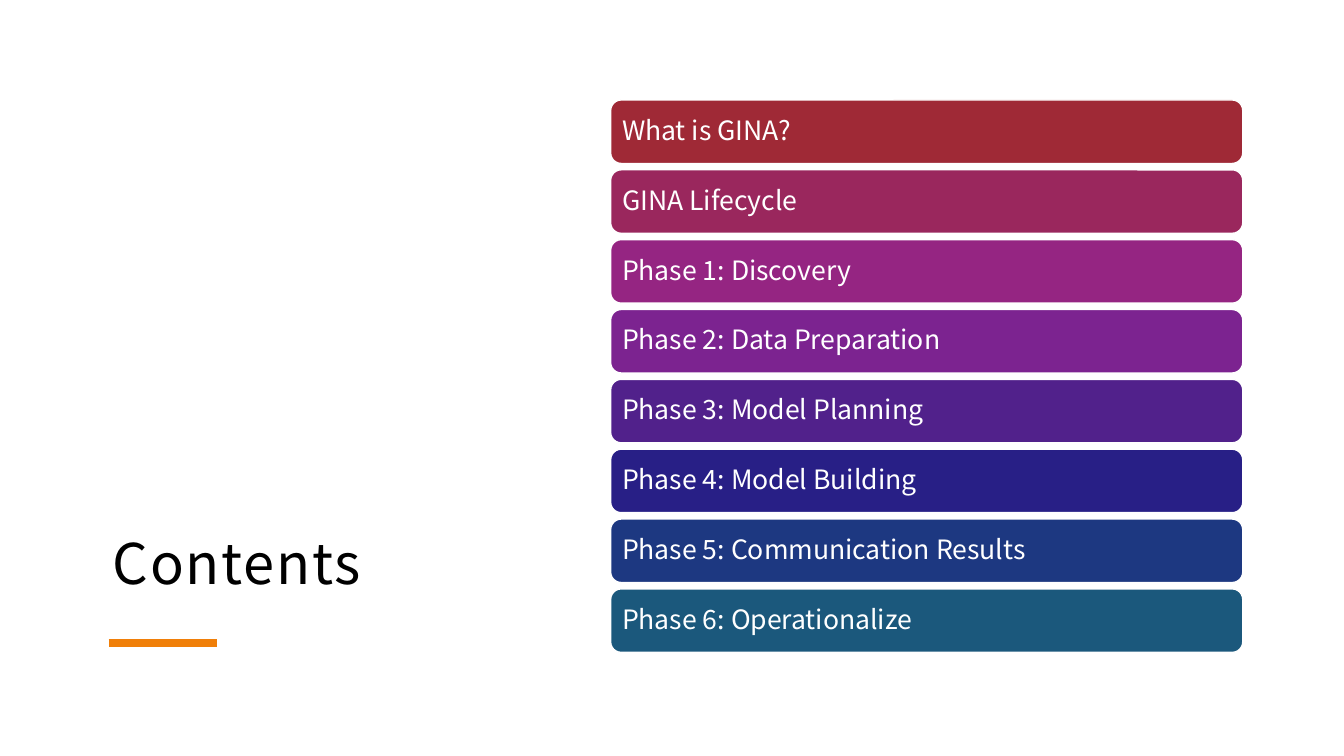
import pptx
import pptx.util
import pptx.dml.color
import pptx.enum.shapes
import pptx.enum.text
from dataclasses import dataclass
from lxml import etree

Cm = pptx.util.Cm
Pt = pptx.util.Pt


@dataclass(frozen=True)
class Theme:
    font: str = "Noto Sans CJK JP"
    ink: str = "000000"
    paper: str = "FFFFFF"
    accent: str = "F07F09"
    title: int = 40
    body: int = 19


THEME = Theme()

TOPICS = [
    ("What is GINA?", "9F2936"),
    ("GINA Lifecycle", "9A275D"),
    ("Phase 1: Discovery", "952582"),
    ("Phase 2: Data Preparation", "7C2390"),
    ("Phase 3: Model Planning", "51218B"),
    ("Phase 4: Model Building", "281F86"),
    ("Phase 5: Communication Results", "1D3881"),
    ("Phase 6: Operationalize", "1B587C"),
]


def rgb(code):
    return pptx.dml.color.RGBColor.from_string(code)


def write(shape, text, size, color, anchor, inset, leading):
    frame = shape.text_frame
    frame.text = text
    frame.word_wrap = True
    frame.vertical_anchor = anchor
    frame.margin_left = frame.margin_right = inset
    frame.margin_top = frame.margin_bottom = inset
    para = frame.paragraphs[0]
    para.alignment = pptx.enum.text.PP_ALIGN.LEFT
    para.line_spacing = leading
    run = para.runs[0]
    run.font.name = THEME.font
    run.font.size = Pt(size)
    run.font.color.rgb = rgb(color)
    return run


def add_title(slide, text):
    box = slide.shapes.add_textbox(Cm(2.54), Cm(2.54), Cm(9.86), Cm(12.73))
    run = write(box, text, THEME.title, THEME.ink,
                pptx.enum.text.MSO_ANCHOR.BOTTOM, Cm(0.3), 1.2)
    box.text_frame.margin_bottom = Cm(0.25)
    run.font._element.set("spc", "130")


def add_rule(slide):
    rule = slide.shapes.add_connector(
        pptx.enum.shapes.MSO_CONNECTOR.STRAIGHT,
        Cm(2.74), Cm(16.2), Cm(5.46), Cm(16.2))
    rule.line.color.rgb = rgb(THEME.accent)
    rule.line.width = Pt(6)
    etree.SubElement(rule._element.spPr, pptx.oxml.ns.qn("a:effectLst"))


def add_bar(slide, top, text, color):
    bar = slide.shapes.add_shape(
        pptx.enum.shapes.MSO_SHAPE.ROUNDED_RECTANGLE,
        Cm(15.39), top, Cm(15.93), Cm(1.6))
    bar.shadow.inherit = False
    bar.fill.solid()
    bar.fill.fore_color.rgb = rgb(color)
    bar.line.color.rgb = rgb(THEME.paper)
    bar.line.width = Pt(1)
    write(bar, text, THEME.body, THEME.paper,
          pptx.enum.text.MSO_ANCHOR.MIDDLE, Cm(0.21), 0.9)


def main():
    deck = pptx.Presentation()
    deck.slide_width = Cm(33.87)
    deck.slide_height = Cm(19.05)
    slide = deck.slides.add_slide(deck.slide_layouts[6])
    add_title(slide, "Contents")
    add_rule(slide)
    for row, (text, color) in enumerate(TOPICS):
        add_bar(slide, Cm(2.52 + 1.76 * row), text, color)
    deck.save("out.pptx")


if __name__ == "__main__":
    main()
